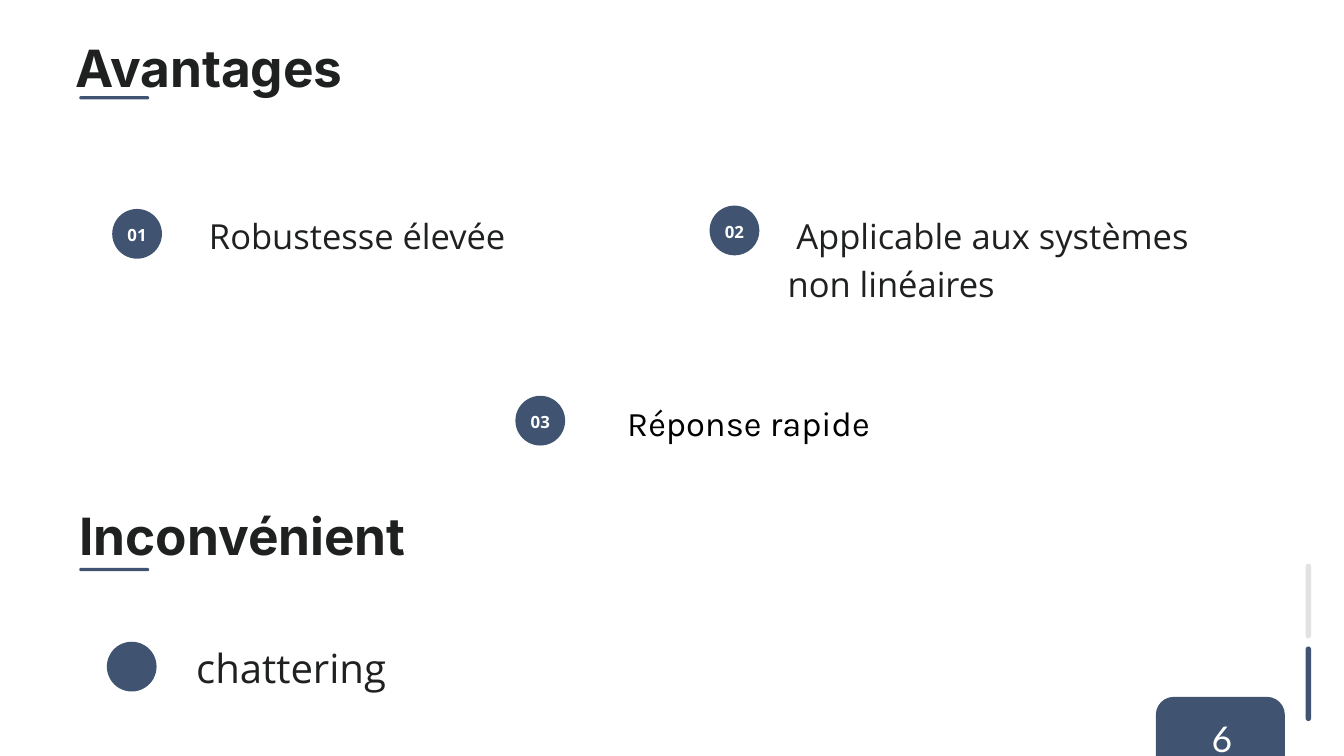
from pptx import Presentation
from pptx.dml.color import RGBColor
from pptx.enum.shapes import MSO_SHAPE as SHAPE
from pptx.enum.text import MSO_ANCHOR as ANCHOR, MSO_AUTO_SIZE as AUTO, PP_ALIGN as ALIGN
from pptx.util import Inches, Pt

NAVY, GREY, INK, BLACK, WHITE = "405371", "E2E2E2", "1F2020", "000000", "FFFFFF"
WIDTH, HEIGHT = 20, 11.25
DOT = 0.74
LABEL_W, LABEL_H = 0.54, 0.33

# Content: headings (text, left, top, underline top)
HEADINGS = [("Avantages", 1.12, 0.38, 1.43), ("Inconvénient", 1.18, 7.35, 8.45)]

# Points: number, dot left and top, text, text box, style
BODY = dict(size=37, font="Open Sans", color=INK, leading=51.8)
POINTS = [
    ("01", (1.67, 3.11), "Robustesse élevée", (3.11, 3.1, 5.2, 0.69), BODY),
    ("02", (10.56, 3.06), "Applicable aux systèmes non linéaires",
     (11.72, 3.09, 6.38, 1.41), dict(BODY, indent=0.13)),
    ("03", (7.67, 5.89), "Réponse rapide", (9.21, 5.88, 3.86, 0.69),
     dict(BODY, font="Karla", color=BLACK, align=ALIGN.CENTER)),
    ("", (1.59, 9.55), "chattering", (2.92, 9.45, 5.2, 0.81),
     dict(BODY, size=43, leading=60.2)),
]
HEADING = dict(size=55, font="Inter", color=INK, leading=77, bold=True)
NUMBER = dict(size=18, font="Open Sans", color=WHITE, leading=25.2, bold=True,
              align=ALIGN.CENTER)
PAGE = dict(size=38, font="Lato", color=WHITE, leading=53.2, align=ALIGN.CENTER)

# Side bars: top, colour
BARS = [(9.62, NAVY), (8.39, GREY)]


def rgb(value):
    return RGBColor.from_string(value)


def add_block(slide, kind, box, color, radius=None):
    sp = slide.shapes.add_shape(kind, *map(Inches, box))
    sp.shadow.inherit = False
    sp.fill.solid()
    sp.fill.fore_color.rgb = rgb(color)
    sp.line.fill.background()
    if radius is not None:
        sp.adjustments[0] = radius


def write(sp, text, size, font, color, leading, bold=False, align=ALIGN.LEFT, indent=0):
    tf = sp.text_frame
    tf.word_wrap = True
    tf.auto_size = AUTO.NONE
    tf.vertical_anchor = ANCHOR.TOP
    tf.margin_left = tf.margin_top = tf.margin_right = tf.margin_bottom = 0
    p = tf.paragraphs[0]
    p.alignment = align
    p.line_spacing = Pt(leading)
    p.space_before = Pt(0)
    if indent:
        p._p.get_or_add_pPr().set("indent", str(Inches(indent)))
    r = p.add_run()
    r.text = text
    r.font.size = Pt(size)
    r.font.name = font
    r.font.bold = bold
    r.font.color.rgb = rgb(color)


def add_text(slide, text, box, style):
    write(slide.shapes.add_textbox(*map(Inches, box)), text, **style)


def main():
    prs = Presentation()
    prs.slide_width, prs.slide_height = Inches(WIDTH), Inches(HEIGHT)
    slide = prs.slides.add_slide(prs.slide_layouts[5])

    # Headings with their underlines
    for i, (text, left, top, rule_top) in enumerate(HEADINGS):
        box = (left, top, 14.58, 1.03)
        if i == 0:
            title = slide.shapes.title
            title.left, title.top, title.width, title.height = map(Inches, box)
            write(title, text, **HEADING)
        else:
            add_text(slide, text, box, HEADING)
        add_block(slide, SHAPE.ROUNDED_RECTANGLE, (1.18, rule_top, 1.04, 0.05), NAVY, 0.5)

    # Points: dot, centred number and text
    for number, (x, y), text, box, style in POINTS:
        add_block(slide, SHAPE.OVAL, (x, y, DOT, DOT), NAVY)
        if number:
            add_text(slide, number,
                     (x + (DOT - LABEL_W) / 2, y + 0.19, LABEL_W, LABEL_H), NUMBER)
        add_text(slide, text, box, style)

    # Side bars
    for top, color in BARS:
        add_block(slide, SHAPE.ROUNDED_RECTANGLE, (19.43, top, 0.08, 1.11), color, 0.5)

    # Page number on its tab
    add_block(slide, SHAPE.ROUNDED_RECTANGLE, (17.2, 10.37, 1.92, 1.27), NAVY, 0.21)
    add_text(slide, "6", (18.03, 10.56, 0.3, 0.69), PAGE)

    prs.save("out.pptx")


if __name__ == "__main__":
    main()
